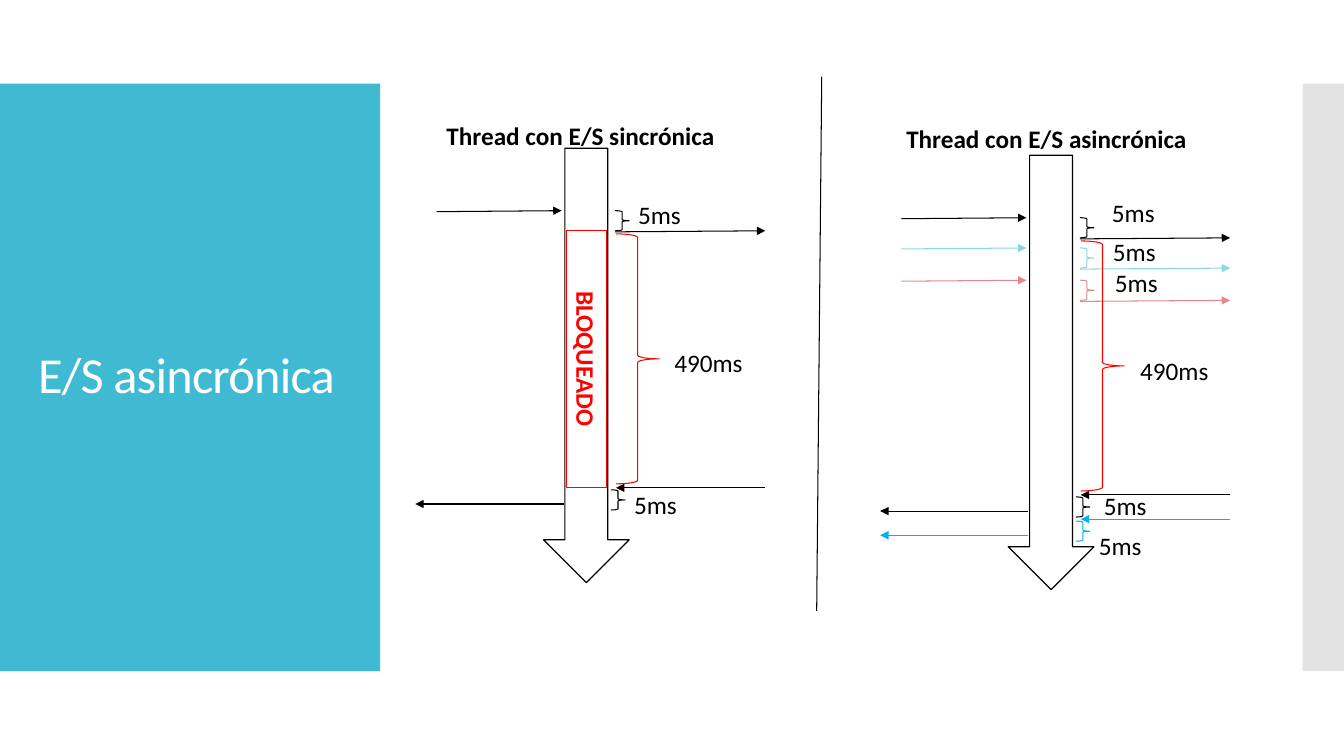
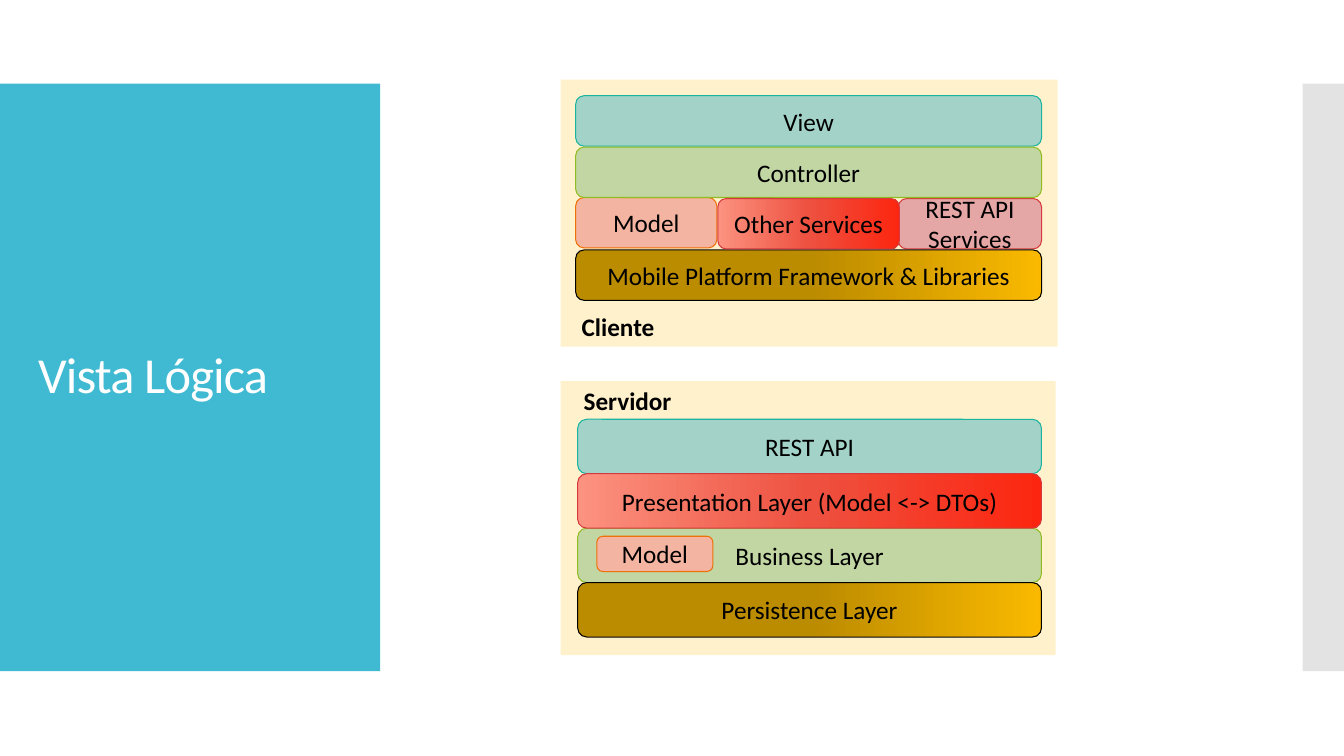
from copy import deepcopy
from dataclasses import dataclass
from typing import NamedTuple

from pptx import Presentation
from pptx.dml.color import RGBColor
from pptx.enum.shapes import MSO_CONNECTOR, MSO_SHAPE
from pptx.enum.text import MSO_ANCHOR, PP_ALIGN
from pptx.oxml.ns import qn
from pptx.util import Pt
from lxml import etree

RECT = MSO_SHAPE.RECTANGLE
ROUND = MSO_SHAPE.ROUNDED_RECTANGLE
BRACE = MSO_SHAPE.RIGHT_BRACE
DOWN = MSO_SHAPE.DOWN_ARROW
STRAIGHT = MSO_CONNECTOR.STRAIGHT
MIDDLE, TOP = MSO_ANCHOR.MIDDLE, MSO_ANCHOR.TOP
LEFT, CENTER = PP_ALIGN.LEFT, PP_ALIGN.CENTER
PX = 9144  # 100 px to the inch


class Skin(NamedTuple):
    fill: tuple[str, ...]
    line: str


@dataclass(frozen=True)
class Theme:
    font: str = "Calibri"
    head: float = 36
    body: float = 18
    thin: float = 0.75
    thick: float = 0.85
    band: str = "40BAD2"
    edge: str = "E3E3E3"
    panel: str = "FFF1CB"
    black: str = "000000"
    white: str = "FFFFFF"
    red: str = "FF0000"
    aqua: str = "8CD6E4"
    pink: str = "E6888B"
    blue: str = "00B0F0"
    teal: Skin = Skin(("A2D2C8",), "1AB39F")
    green: Skin = Skin(("C1D6A3",), "90BB23")
    peach: Skin = Skin(("F4B4A2",), "EE7008")
    rose: Skin = Skin(("E5A6A6",), "D5393D")
    flame: Skin = Skin(("FC9280", "EE5140", "FC2610"), "D5393D")
    gold: Skin = Skin(("BB8B00", "BB8B00", "FAB900"), "000000")


T = Theme()


class Box(NamedTuple):
    x: int
    y: int
    w: int
    h: int


class Layer(NamedTuple):
    box: Box
    text: str
    skin: Skin


class Label(NamedTuple):
    x: int
    y: int
    w: int
    text: str
    bold: bool = False


class Call(NamedTuple):
    dx: int
    dy: int
    color: str


def rgb(color: str) -> RGBColor:
    return RGBColor.from_string(color)


def emu(box: Box) -> list[int]:
    return [n * PX for n in box]


def write(shape, text: str, color: str = T.black, size: float = T.body,
          bold: bool = False, align=LEFT, anchor=TOP):
    """Put one run in a shape and return it."""
    frame = shape.text_frame
    frame.word_wrap = True
    frame.vertical_anchor = anchor
    para = frame.paragraphs[0]
    para.alignment = align
    run = para.add_run()
    run.text = text
    run.font.name = T.font
    run.font.size = Pt(size)
    run.font.bold = bold
    run.font.color.rgb = rgb(color)
    return run


def paint(shape, fill: tuple[str, ...]) -> None:
    """No colour, one colour, or an even three-stop gradient."""
    if not fill:
        shape.fill.background()
    elif len(fill) == 1:
        shape.fill.solid()
        shape.fill.fore_color.rgb = rgb(fill[0])
    else:
        shape.fill.gradient()
        shape.fill.gradient_angle = 0
        first = shape.element.find(".//" + qn("a:gs"))
        first.addnext(deepcopy(first))
        for i, stop in enumerate(shape.fill.gradient_stops):
            stop.position = i / 2
            stop.color.rgb = rgb(fill[i])


def draw(slide, kind, box: Box, fill: tuple[str, ...] = (),
         line: str = "", width: float = T.thin):
    shape = slide.shapes.add_shape(kind, *emu(box))
    shape.shadow.inherit = False
    paint(shape, fill)
    if line:
        shape.line.color.rgb = rgb(line)
        shape.line.width = Pt(width)
    else:
        shape.line.fill.background()
    return shape


def link(slide, x1: int, y1: int, x2: int, y2: int,
         color: str = T.black, arrow: bool = True) -> None:
    wire = slide.shapes.add_connector(
        STRAIGHT, x1 * PX, y1 * PX, x2 * PX, y2 * PX)
    wire.line.color.rgb = rgb(color)
    wire.line.width = Pt(T.thin)
    props = wire.element.spPr
    if arrow:
        etree.SubElement(props.find(qn("a:ln")), qn("a:tailEnd"), type="triangle")
    etree.SubElement(props, qn("a:effectLst"))


def note(slide, label: Label) -> None:
    box = slide.shapes.add_textbox(*emu(Box(label.x, label.y, label.w, 40)))
    write(box, label.text, bold=label.bold)


def start(deck, title: str):
    """New slide with side bands and title."""
    slide = deck.slides.add_slide(deck.slide_layouts[6])
    draw(slide, RECT, Box(0, 83, 377, 583), (T.band,))
    draw(slide, RECT, Box(1292, 83, 42, 583), (T.edge,))
    box = slide.shapes.add_textbox(*emu(Box(28, 123, 322, 503)))
    run = write(box, title, T.white, T.head, anchor=MIDDLE)
    run.font.element.set("spc", "-60") if hasattr(run.font, "element") else \
        run._r.get_or_add_rPr().set("spc", "-60")
    box.text_frame.paragraphs[0].line_spacing = 0.9
    return slide


def send(slide, call: Call) -> None:
    """Request comes in and goes on after a short step."""
    dx, dy, color = call
    link(slide, 433 + dx, 210 + dy, 557 + dx, 209 + dy, color)
    link(slide, 610 + dx, 230 + dy, 759 + dx, 229 + dy, color)
    draw(slide, BRACE, Box(610 + dx, 209 + dy, 14, 20), line=color)


def reply(slide, call: Call) -> None:
    """Answer comes back and leaves after a short step."""
    dx, dy, color = call
    link(slide, 759 + dx, 484 + dy, 611 + dx, 484 + dy, color)
    link(slide, 559 + dx, 500 + dy, 412 + dx, 500 + dy, color)
    draw(slide, BRACE, Box(606 + dx, 486 + dy, 14, 20), line=color)


def thread(slide, dx: int, dy: int, sends: list[Call], replies: list[Call],
           labels: list[Label]) -> None:
    draw(slide, DOWN, Box(539 + dx, 147 + dy, 85, 431), (T.white,),
         T.black, T.thick)
    for call in sends:
        send(slide, call)
    for call in replies:
        reply(slide, call)
    draw(slide, BRACE, Box(611 + dx, 232 + dy, 43, 248), line=T.red)
    for label in labels:
        note(slide, label)


def stack(slide, panel: Box, layers: list[Layer], label: Label) -> None:
    draw(slide, RECT, panel, (T.panel,))
    for layer in layers:
        shape = draw(slide, ROUND, layer.box, layer.skin.fill, layer.skin.line)
        write(shape, layer.text, align=CENTER, anchor=MIDDLE)
    note(slide, label)


def threads(deck) -> None:
    slide = start(deck, "E/S asincrónica")
    # Blocking thread
    here = Call(0, 0, T.black)
    thread(slide, 0, 0, [here], [here], [
        Label(433, 114, 312, "Thread con E/S sincrónica", True),
        Label(623, 193, 73, "5ms"),
        Label(659, 340, 100, "490ms"),
        Label(619, 481, 70, "5ms"),
    ])
    block = draw(slide, RECT, Box(454, 336, 255, 40), line=T.red)
    block.rotation = 90
    write(block, "BLOQUEADO", T.red, bold=True, align=CENTER)
    # Free thread, same drawing moved right
    dx, dy = 461, 7
    there = Call(dx, dy, T.black)
    thread(
        slide, dx, dy,
        [there, Call(dx, dy + 30, T.aqua), Call(dx, dy + 62, T.pink)],
        [there, Call(dx, dy + 24, T.blue)],
        [
            Label(889, 117, 355, "Thread con E/S asincrónica", True),
            Label(1093, 191, 85, "5ms"),
            Label(1094, 230, 73, "5ms"),
            Label(1096, 260, 85, "5ms"),
            Label(1121, 348, 99, "490ms"),
            Label(1085, 482, 73, "5ms"),
            Label(1080, 521, 73, "5ms"),
        ])
    # Divider
    link(slide, 815, 76, 810, 606, arrow=False)


def layers(deck) -> None:
    slide = start(deck, "Vista Lógica")
    # Client: full rows a step apart, third row split in three
    rows = [Box(571, 95 + 51 * i, 462, 50) for i in range(4)]
    stack(slide, Box(556, 79, 493, 265), [
        Layer(Box(891, 197, 142, 50), "REST API Services", T.rose),
        Layer(Box(571, 196, 140, 50), "Model", T.peach),
        Layer(rows[0], "View", T.teal),
        Layer(rows[1], "Controller", T.green),
        Layer(rows[3], "Mobile Platform Framework & Libraries", T.gold),
        Layer(Box(712, 197, 180, 50), "Other Services", T.flame),
    ], Label(567, 304, 118, "Cliente", True))
    # Server
    rows = [Box(573, 416 + 54 * i, 460, 54) for i in range(4)]
    stack(slide, Box(556, 378, 491, 272), [
        Layer(rows[0], "REST API", T.teal),
        Layer(rows[2], "Business Layer", T.green),
        Layer(rows[3], "Persistence Layer", T.gold),
        Layer(rows[1], "Presentation Layer (Model <-> DTOs)", T.flame),
        Layer(Box(592, 532, 115, 35), "Model", T.peach),
    ], Label(569, 377, 128, "Servidor", True))


def main() -> None:
    deck = Presentation()
    deck.slide_width, deck.slide_height = 1333 * PX, 750 * PX
    threads(deck)
    layers(deck)
    deck.save("out.pptx")


if __name__ == "__main__":
    main()
